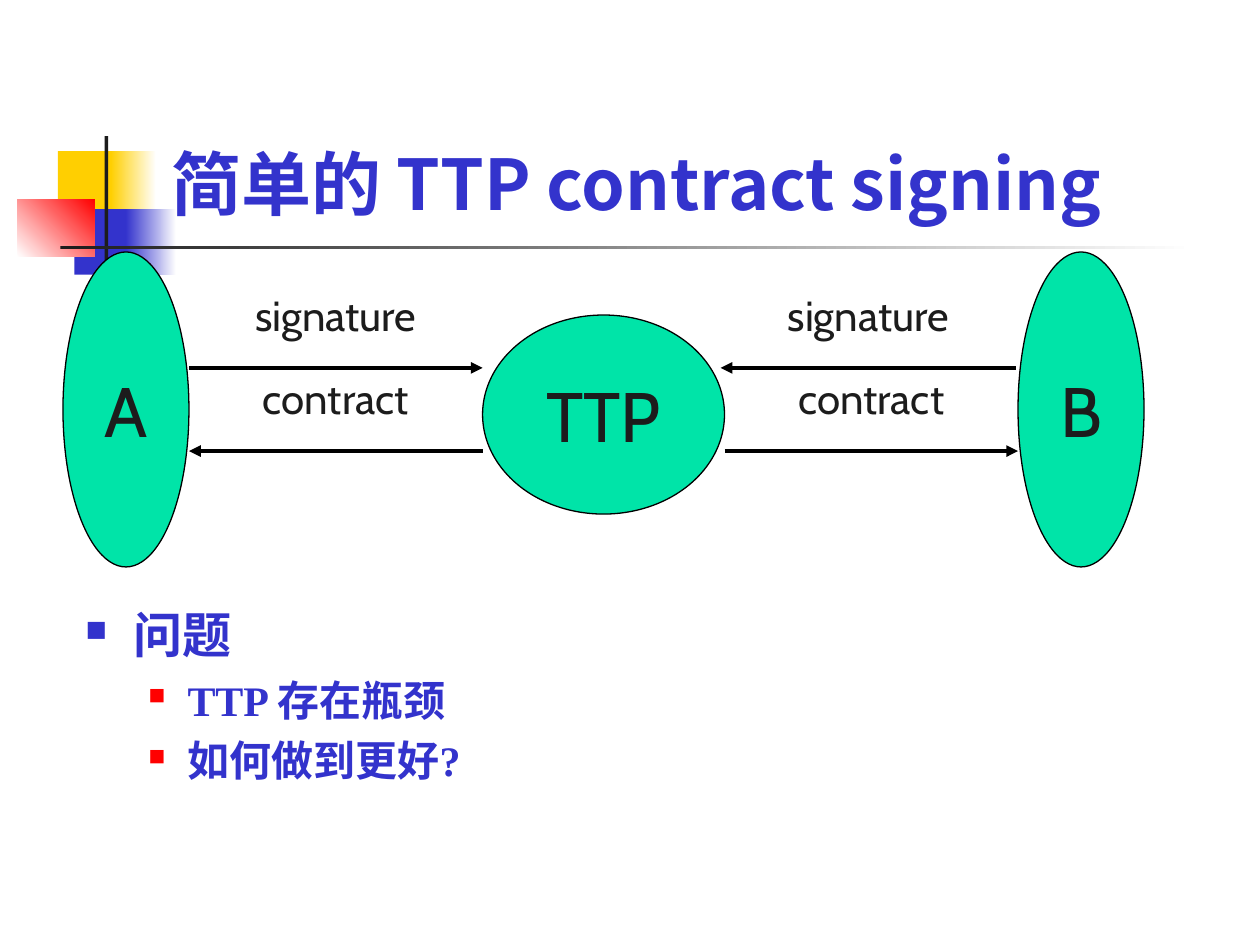
from lxml import etree
from pptx import Presentation
from pptx import util as u
from pptx.dml.color import RGBColor
from pptx.enum import shapes, text
from pptx.oxml import ns

YELLOW = RGBColor(0xFF, 0xCF, 0x01)
BLUE = RGBColor(0x33, 0x33, 0xCC)
RED = RGBColor(0xFF, 0x00, 0x00)
GREEN = RGBColor(0x00, 0xE4, 0xA8)
INK = RGBColor(0x1C, 0x1C, 0x1C)
WHITE = RGBColor(0xFF, 0xFF, 0xFF)
BLACK = RGBColor(0x00, 0x00, 0x00)
SANS, CJK, SERIF = "Cabin", "Noto Sans CJK SC", "Times New Roman"

# Content: places are left, top, width, height in inches
TITLE = "简单的 TTP contract signing"
ORNAMENT = [  # place, colours (two make a gradient), angle
    ((0.46, 1.2, 0.48, 0.52), [YELLOW], 0),
    ((0.88, 1.2, 0.36, 0.52), [YELLOW, WHITE], 0),
    ((0.59, 1.66, 0.46, 0.52), [BLUE], 0),
    ((1, 1.66, 0.4, 0.52), [BLUE, WHITE], 0),
    ((0.14, 1.58, 0.61, 0.46), [WHITE, RED], 45),
    ((0.83, 1.08, 0.03, 1.15), [INK], 0),
    ((0.48, 1.95, 9, 0.03), [INK, WHITE], 0),
]
PARTIES = [
    ("A", (0.5, 2, 1, 2.5)),
    ("B", (8.08, 2, 1, 2.5)),
    ("TTP", (3.83, 2.5, 1.92, 1.58)),
]
MESSAGES = [  # label, label width, start x, end x, y
    ("signature", 1.69, 1.5, 3.83, 2.92),
    ("signature", 1.69, 8.06, 5.72, 2.92),
    ("contract", 1.49, 5.75, 8.08, 3.58),
    ("contract", 1.49, 3.83, 1.5, 3.58),
]
ISSUES = [(0, "问题"), (1, "TTP 存在瓶颈"), (1, "如何做到更好?")]
LEVELS = [  # by outline level
    dict(size=28, before=7, margin=0.38, hang=0.38, color=BLUE, scale=60),
    dict(size=24, before=6, margin=0.81, hang=0.31, color=RED, scale=55),
]
LABEL_HEIGHT, LABEL_RISE = 0.5, 0.67


def inches(place):
    return [u.Inches(value) for value in place]


def add_xml(parent, tag, **attributes):
    return etree.SubElement(parent, ns.qn(tag), attributes)


def write(para, words, size, color, latin, bold=False, **layout):
    for name, value in layout.items():
        setattr(para, name, value)
    span = para.add_run()
    span.text = words
    values = dict(size=u.Pt(size), name=latin, bold=bold)
    for name, value in values.items():
        setattr(span.font, name, value)
    span.font.color.rgb = color
    add_xml(span.font._element, "a:ea", typeface=CJK)


def add_solid(page, kind, place, color):
    shape = page.shapes.add_shape(kind, *inches(place))
    shape.shadow.inherit = False
    shape.fill.solid()
    shape.fill.fore_color.rgb = color
    return shape


def add_ornament(page):
    for place, colors, angle in ORNAMENT:
        block = add_solid(page, shapes.MSO_SHAPE.RECTANGLE, place, colors[0])
        block.line.fill.background()
        if len(colors) == 2:
            block.fill.gradient()
            block.fill.gradient_angle = angle
            for stop, color in zip(block.fill.gradient_stops, colors):
                stop.color.rgb = color


def add_title(page):
    box = page.shapes.title
    box.left, box.top, box.width, box.height = inches((1.26, 0.23, 8.52, 1.6))
    frame = box.text_frame
    frame.auto_size = text.MSO_AUTO_SIZE.NONE
    frame.vertical_anchor = text.MSO_ANCHOR.BOTTOM
    write(frame.paragraphs[0], TITLE, 40, BLUE, CJK, True,
          alignment=text.PP_ALIGN.LEFT)


def add_party(page, name, place):
    oval = add_solid(page, shapes.MSO_SHAPE.OVAL, place, GREEN)
    oval.line.color.rgb = BLACK
    oval.line.width = u.Pt(0.75)
    frame = oval.text_frame
    frame.word_wrap = False
    frame.vertical_anchor = text.MSO_ANCHOR.MIDDLE
    write(frame.paragraphs[0], name, 40, INK, SANS,
          alignment=text.PP_ALIGN.CENTER, space_before=u.Pt(10))


def add_message(page, label, width, start, end, y):
    arrow = page.shapes.add_connector(
        shapes.MSO_CONNECTOR.STRAIGHT, *inches((start, y, end, y)))
    arrow.line.color.rgb = BLACK
    arrow.line.width = u.Pt(2.25)
    add_xml(arrow.line._get_or_add_ln(), "a:tailEnd", type="triangle")
    add_xml(arrow._element.spPr, "a:effectLst")

    left = (start + end) / 2 - width / 2
    box = page.shapes.add_textbox(
        *inches((left, y - LABEL_RISE, width, LABEL_HEIGHT)))
    box.text_frame.word_wrap = False
    write(box.text_frame.paragraphs[0], label, 24, INK, SANS,
          alignment=text.PP_ALIGN.CENTER, space_before=u.Pt(6))


def add_issues(page):
    frame = page.shapes.add_textbox(*inches((0.58, 4.75, 8.58, 1.83))).text_frame
    frame.word_wrap = True
    for index, (level, words) in enumerate(ISSUES):
        look = LEVELS[level]
        para = frame.add_paragraph() if index else frame.paragraphs[0]
        write(para, words, look["size"], BLUE, SERIF, True,
              level=level, space_before=u.Pt(look["before"]))
        # Hanging square bullet
        props = para._p.get_or_add_pPr()
        props.set("marL", str(u.Inches(look["margin"])))
        props.set("indent", str(-u.Inches(look["hang"])))
        add_xml(add_xml(props, "a:buClr"), "a:srgbClr", val=str(look["color"]))
        add_xml(props, "a:buSzPct", val=str(look["scale"] * 1000))
        add_xml(props, "a:buChar", char="■")


def main():
    deck = Presentation()
    deck.slide_width, deck.slide_height = inches((10, 7.5))
    page = deck.slides.add_slide(deck.slide_layouts[5])
    add_ornament(page)
    add_title(page)
    for party in PARTIES:
        add_party(page, *party)
    for message in MESSAGES:
        add_message(page, *message)
    add_issues(page)
    deck.save("out.pptx")


if __name__ == "__main__":
    main()
